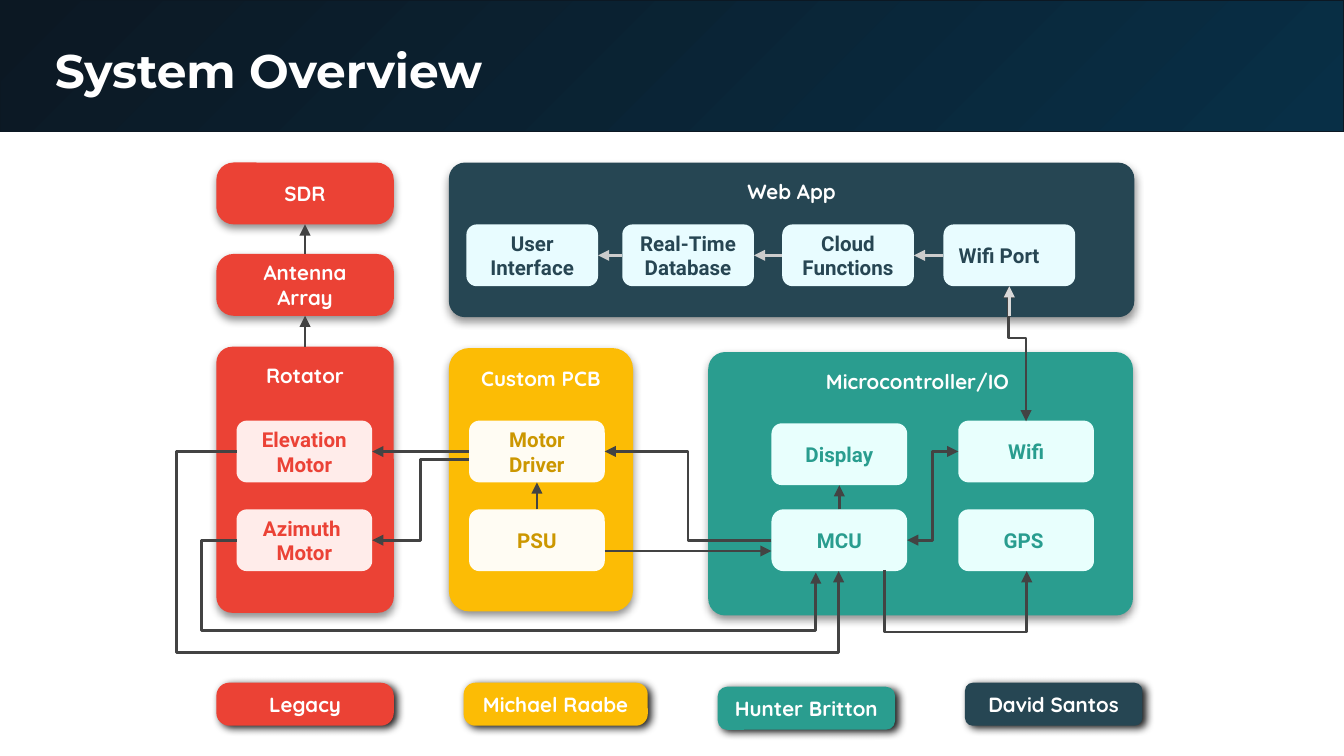
from lxml import etree
from pptx import Presentation
from pptx.dml.color import RGBColor
from pptx.enum import shapes, text
from pptx.oxml import ns
from pptx.oxml import parse_xml
from pptx.util import Inches, Pt

COLORS = {
    "white": "FFFFFF", "night": "0C1823", "ocean": "082F46",
    "red": "EB4235", "yellow": "FCBC05", "teal": "2A9D8F", "navy": "264653",
    "pink": "FFECEA", "cream": "FFFCF3", "mint": "E8FFFD", "ice": "E8FCFF",
    "red_text": "EB4236", "gold_text": "CC9700",
    "teal_text": "299D8F", "navy_text": "274653",
    "arrow": "434343", "pale": "CCCCCC", "paler": "D9D9D9",
}
SOFT, STRONG = (43, 84), (89, 30)
TOP, LEFT, BOTTOM, RIGHT = range(4)
ELBOW = "bentConnector3"


def rgb(name):
    return RGBColor.from_string(COLORS[name])


def write(tf, words, font="Quicksand", size=11, color="white", align="CENTER",
          anchor="MIDDLE", inset=0.09):
    tf.word_wrap = True
    tf.vertical_anchor = getattr(text.MSO_ANCHOR, anchor)
    tf.margin_left = tf.margin_right = Inches(inset)
    tf.margin_top = tf.margin_bottom = Inches(inset)
    for i, line in enumerate(words.split("\n")):
        p = tf.add_paragraph() if i else tf.paragraphs[0]
        p.alignment = getattr(text.PP_ALIGN, align)
        r = p.add_run()
        r.text = line
        r.font.name, r.font.size, r.font.bold = font, Pt(size), True
        r.font.color.rgb = rgb(color)


class Diagram:
    def __init__(self, slide):
        self.s = slide

    def header(self, words):
        sp = self.s.shapes.add_shape(shapes.MSO_SHAPE.RECTANGLE, 0, 0, Inches(10), Inches(0.98))
        sp.shadow.inherit = False
        sp.fill.gradient()
        for stop, name in zip(sp.fill.gradient_stops, ("ocean", "night")):
            stop.color.rgb = rgb(name)
        lin = sp._element.spPr.find(".//" + ns.qn("a:lin"))
        lin.getparent().replace(lin, parse_xml(
            f'<a:path {ns.nsdecls("a")} path="circle">'
            '<a:fillToRect l="100000" t="100000"/></a:path>'))
        sp.line.color.rgb = rgb("night")
        sp.line.width = Pt(0.75)
        box = self.s.shapes.add_textbox(Inches(0.31), Inches(0.21), Inches(9.32), Inches(0.63))
        write(box.text_frame, words, font="Montserrat", size=25.2, align="LEFT",
              anchor="TOP", inset=0.1)

    def block(self, words, x, y, w, h, fill, corner=0.167, shadow=None, **style):
        sp = self.s.shapes.add_shape(shapes.MSO_SHAPE.ROUNDED_RECTANGLE,
                                     Inches(x), Inches(y), Inches(w), Inches(h))
        sp.adjustments[0] = corner
        sp.fill.solid()
        sp.fill.fore_color.rgb = rgb(fill)
        sp.line.fill.background()
        sp.shadow.inherit = False
        if shadow:
            alpha, angle = shadow
            effects = sp._element.spPr.find(ns.qn("a:effectLst"))
            effects.append(parse_xml(
                f'<a:outerShdw {ns.nsdecls("a")} blurRad="{Pt(4.5)}" dist="{Pt(2.2)}" '
                f'dir="{angle * 60000}" algn="bl" rotWithShape="0"><a:srgbClr val="000000">'
                f'<a:alpha val="{alpha * 1000}"/></a:srgbClr></a:outerShdw>'))
        write(sp.text_frame, words, **style)
        return sp

    def node(self, words, x, y, fill, color, w=1.01, **style):
        return self.block(words, x, y, w, 0.46, fill, font="Roboto", color=color, **style)

    def arrow(self, start, end, kind="line", adj=(), color="arrow", both=False, turn=0):
        straight = shapes.MSO_CONNECTOR.STRAIGHT
        elbow = shapes.MSO_CONNECTOR.ELBOW
        points = [(0, 0) if hasattr(e[0], "left") else (Inches(e[0]), Inches(e[1]))
                  for e in (start, end)]
        c = self.s.shapes.add_connector(straight if kind == "line" else elbow,
                                        *points[0], *points[1])
        if hasattr(start[0], "left"):
            c.begin_connect(*start)
        if hasattr(end[0], "left"):
            c.end_connect(*end)
        spPr = c._element.spPr
        geom = spPr.find(ns.qn("a:prstGeom"))
        geom.set("prst", kind)
        if adj:
            guides = geom.find(ns.qn("a:avLst"))
            for i, value in enumerate(adj, 1):
                etree.SubElement(guides, ns.qn("a:gd"), name=f"adj{i}",
                                 fmla=f"val {round(value * 100000)}")
        if turn:
            spPr.find(ns.qn("a:xfrm")).set("rot", str(turn * 60000))
        c.line.color.rgb = rgb(color)
        c.line.width = Pt(1.5)
        ln = spPr.find(ns.qn("a:ln"))
        if both:
            etree.SubElement(ln, ns.qn("a:headEnd"), type="triangle")
        etree.SubElement(ln, ns.qn("a:tailEnd"), type="triangle")
        etree.SubElement(spPr, ns.qn("a:effectLst"))


def main():
    prs = Presentation()
    prs.slide_width = Inches(10)
    prs.slide_height = prs.slide_width * 9 // 16
    d = Diagram(prs.slides.add_slide(prs.slide_layouts[6]))
    d.header("System Overview")

    panels = [
        ("Custom PCB", 3.34, 2.59, 1.37, 1.96, "yellow", 0.112),
        ("Web App", 3.34, 1.21, 5.1, 1.15, "navy", 0.104),
        ("Microcontroller/IO ", 5.27, 2.62, 3.16, 1.96, "teal", 0.064),
        ("Rotator", 1.61, 2.58, 1.32, 1.98, "red", 0.089),
    ]
    *_, rotator = [d.block(*panel, shadow=SOFT, anchor="TOP") for panel in panels]
    sdr, antenna = [d.block(words, 1.61, y, 1.32, 0.46, "red", 0.278, SOFT)
                    for words, y in (("SDR", 1.21), ("Antenna Array", 1.89))]

    web = [d.node(words, x, 1.67, "ice", "navy_text", w=0.98, align=align)
           for words, x, align in (("User Interface", 3.47, "CENTER"),
                                   ("Real-Time Database", 4.63, "CENTER"),
                                   ("Cloud Functions", 5.82, "CENTER"),
                                   ("Wifi Port", 7.02, "LEFT"))]
    upper, lower = 3.13, 3.79
    elevation = d.node("Elevation Motor", 1.76, upper, "pink", "red_text")
    azimuth = d.node("Azimuth \nMotor", 1.76, lower, "pink", "red_text")
    driver = d.node("Motor Driver", 3.49, upper, "cream", "gold_text")
    psu = d.node("PSU", 3.49, lower, "cream", "gold_text")
    display = d.node("Display", 5.74, 3.15, "mint", "teal_text")
    mcu = d.node("MCU", 5.74, lower, "mint", "teal_text", corner=0.196)
    wifi = d.node("Wifi", 7.13, upper, "mint", "teal_text")
    d.node("GPS ", 7.13, lower, "mint", "teal_text")

    for words, x, y, w, fill, corner in (
            ("Legacy", 1.61, 5.08, 1.32, "red", 0.301),
            ("Michael Raabe", 3.45, 5.08, 1.37, "yellow", 0.271),
            ("Hunter Britton", 5.34, 5.11, 1.32, "teal", 0.213),
            ("David Santos", 7.18, 5.08, 1.32, "navy", 0.183)):
        d.block(words, x, y, w, 0.32, fill, corner, STRONG)

    for below, above in ((antenna, sdr), (rotator, antenna), (psu, driver), (mcu, display)):
        d.arrow((below, TOP), (above, BOTTOM))
    for target, source in zip(web, web[1:]):
        d.arrow((source, LEFT), (target, RIGHT), color="pale")
    d.arrow((driver, LEFT), (elevation, RIGHT))
    d.arrow((4.5, 4.1), (5.74, 4.1))

    d.arrow((3.49, 3.42), (azimuth, RIGHT), ELBOW)
    d.arrow((mcu, LEFT), (driver, RIGHT), ELBOW)
    d.arrow((mcu, RIGHT), (wifi, LEFT), ELBOW, both=True)
    d.arrow((8.07, 2.57), (7.07, 2.7), ELBOW, (0.62,), both=True, turn=90)
    d.arrow((7.51, 2.35), (7.51, 2.13), color="paler")
    d.arrow((1.76, 3.36), (6.24, 4.25), "bentConnector4", (-0.1, 1.68))
    d.arrow((1.76, 4.02), (6.07, 4.26), "bentConnector5", (-0.06, 2.8, 1))
    d.arrow((6.58, 4.24), (7.64, 4.25), "bentConnector4", (0, 47))

    prs.save("out.pptx")


if __name__ == "__main__":
    main()
